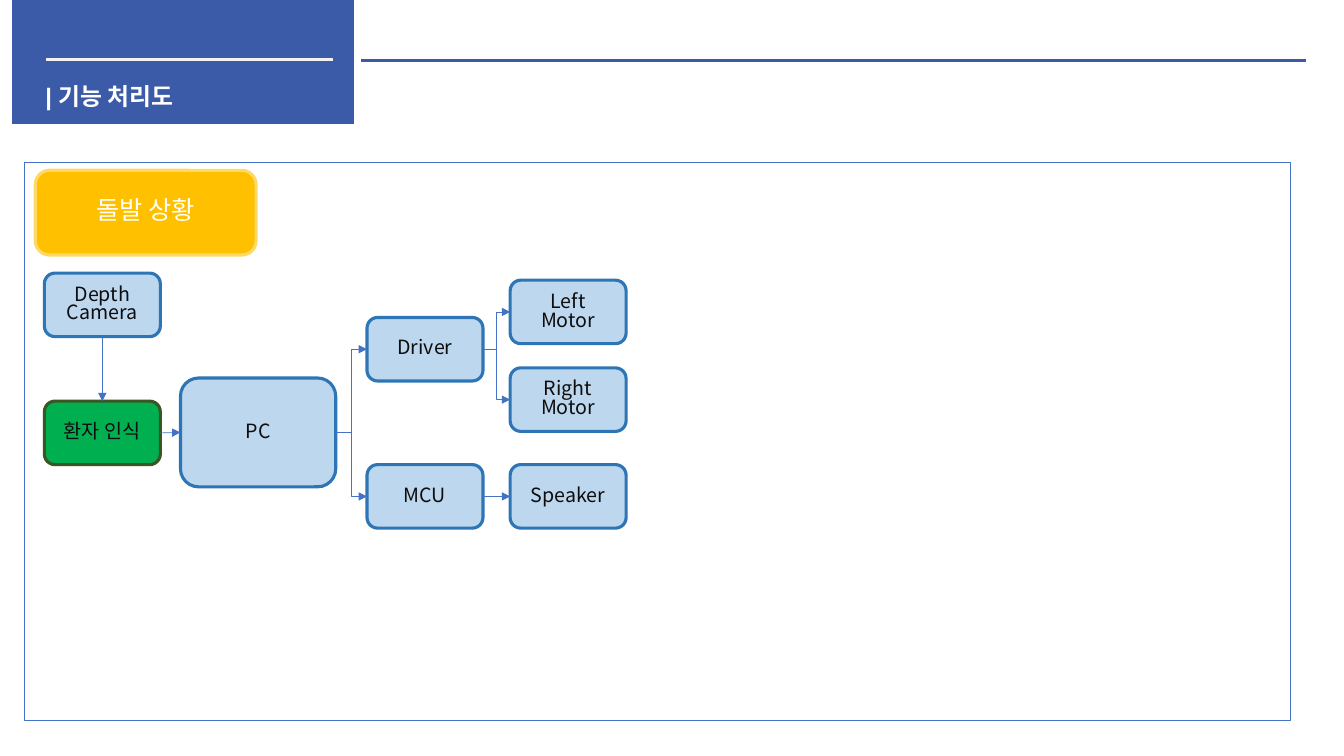
from dataclasses import dataclass

from lxml import etree
from pptx import Presentation
from pptx.dml.color import RGBColor
from pptx.enum.shapes import MSO_CONNECTOR, MSO_SHAPE
from pptx.enum.text import MSO_ANCHOR, MSO_AUTO_SIZE, PP_ALIGN
from pptx.oxml.ns import qn
from pptx.shapes.autoshape import Shape
from pptx.shapes.connector import Connector
from pptx.util import Inches, Pt

RECT, ROUND = MSO_SHAPE.RECTANGLE, MSO_SHAPE.ROUNDED_RECTANGLE
LINE, ELBOW = MSO_CONNECTOR.STRAIGHT, MSO_CONNECTOR.ELBOW
LEFT, MID = PP_ALIGN.LEFT, PP_ALIGN.CENTER
TOP, CENTER = MSO_ANCHOR.TOP, MSO_ANCHOR.MIDDLE
FIXED = MSO_AUTO_SIZE.NONE

NAVY = RGBColor(0x3B, 0x5A, 0xA8)
BLUE = RGBColor(0x44, 0x72, 0xC4)
STEEL = RGBColor(0x2E, 0x75, 0xB6)
SKY = RGBColor(0xBD, 0xD7, 0xEE)
GOLD = RGBColor(0xFF, 0xC0, 0x00)
SAND = RGBColor(0xFF, 0xD9, 0x66)
GREEN = RGBColor(0x00, 0xB0, 0x50)
MOSS = RGBColor(0x38, 0x57, 0x23)
PALE = RGBColor(0xF2, 0xF2, 0xF2)
WHITE = RGBColor(0xFF, 0xFF, 0xFF)
INK = RGBColor(0x0D, 0x0D, 0x0D)
SANS = "Noto Sans CJK KR"
COLS = (0.44, 3.64, 5.06)
TOP_SIDE, LEFT_SIDE, BASE_SIDE, RIGHT_SIDE = range(4)


@dataclass(frozen=True)
class Box:
    text: str
    left: float
    top: float
    width: float = 1.15
    height: float = 0.63
    fill: RGBColor | None = SKY
    edge: RGBColor | None = STEEL
    weight: float = 2.25
    kind: MSO_SHAPE = ROUND
    size: float = 14
    color: RGBColor = INK


@dataclass(frozen=True)
class Link:
    start: str
    end: str
    kind: MSO_CONNECTOR = LINE
    exit: int = RIGHT_SIDE
    entry: int = LEFT_SIDE


@dataclass(frozen=True)
class Rule:
    left: float
    right: float
    y: float
    color: RGBColor


HEAD = Box("", 0.12, 0, 3.39, 1.23, NAVY, None, kind=RECT)
RULES = (Rule(0.46, 3.3, 0.59, PALE), Rule(3.58, 12.95, 0.6, NAVY))
BOXES = {
    "frame": Box("", 0.24, 1.61, 12.56, 5.54, None, BLUE, 0.75, RECT),
    "case": Box("돌발 상황", 0.35, 1.69, 2.19, 0.84, GOLD, SAND, size=18, color=WHITE),
    "pc": Box("PC", 1.79, 3.75, 1.54, 1.08),
    "left": Box("Left\nMotor", COLS[2], 2.78),
    "drive": Box("Driver", COLS[1], 3.15),
    "right": Box("Right\nMotor", COLS[2], 3.65),
    "board": Box("MCU", COLS[1], 4.61),
    "sound": Box("Speaker", COLS[2], 4.61),
    "depth": Box("Depth\nCamera", COLS[0], 2.71),
    "sense": Box("환자 인식", COLS[0], 3.98, fill=GREEN, edge=MOSS),
}
LINKS = (
    Link("depth", "sense", exit=BASE_SIDE, entry=TOP_SIDE),
    Link("sense", "pc"),
    Link("pc", "drive", ELBOW),
    Link("pc", "board", ELBOW),
    Link("drive", "left", ELBOW),
    Link("drive", "right", ELBOW),
    Link("board", "sound"),
)


def apply(item: object, style: dict) -> None:
    for name, value in style.items():
        setattr(item, name, value)


def write(shape: Shape, text: str, align: PP_ALIGN, style: dict, pitch: float) -> None:
    shape.text_frame.text = text
    for para in shape.text_frame.paragraphs:
        apply(para, {"alignment": align, "line_spacing": pitch})
        for run in para.runs:
            apply(run.font, {k: v for k, v in style.items() if k != "color"})
            run.font.color.rgb = style["color"]
            face = etree.SubElement(run.font._element, qn("a:ea"))
            face.set("typeface", SANS)


def draw(slide, box: Box) -> Shape:
    area = map(Inches, (box.left, box.top, box.width, box.height))
    shape = slide.shapes.add_shape(box.kind, *area)
    shape.shadow.inherit = False
    if box.fill is None:
        shape.fill.background()
    else:
        shape.fill.solid()
        shape.fill.fore_color.rgb = box.fill
    if box.edge is None:
        shape.line.fill.background()
    else:
        shape.line.color.rgb = box.edge
        shape.line.width = Pt(box.weight)
    if box.text:
        apply(shape.text_frame, {"word_wrap": True, "vertical_anchor": CENTER})
        style = {"name": SANS, "size": Pt(box.size), "color": box.color}
        write(shape, box.text, MID, style, 0.8)
    return shape


def stroke(wire: Connector, color: RGBColor, weight: float) -> None:
    wire.line.color.rgb = color
    wire.line.width = Pt(weight)
    etree.SubElement(wire._element.spPr, qn("a:effectLst"))


def rule(slide, item: Rule) -> None:
    ends = map(Inches, (item.left, item.y, item.right, item.y))
    stroke(slide.shapes.add_connector(LINE, *ends), item.color, 2.25)


def join(slide, link: Link, nodes: dict[str, Shape]) -> None:
    wire = slide.shapes.add_connector(link.kind, 0, 0, 0, 0)
    wire.begin_connect(nodes[link.start], link.exit)
    wire.end_connect(nodes[link.end], link.entry)
    stroke(wire, BLUE, 0.5)
    tip = etree.SubElement(wire.line._get_or_add_ln(), qn("a:tailEnd"))
    tip.set("type", "triangle")


def head(slide) -> None:
    draw(slide, HEAD)
    for item in RULES:
        rule(slide, item)
    title = slide.shapes.title
    apply(title, {"left": Inches(0.35), "top": Inches(0.76),
                  "width": Inches(3.9), "height": Inches(0.31)})
    apply(title.text_frame, {"word_wrap": True, "vertical_anchor": TOP,
                             "auto_size": FIXED})
    style = {"name": "Arial", "size": Pt(17), "bold": True, "color": WHITE}
    write(title, "| 기능 처리도", LEFT, style, 1.0)
    slide.shapes._spTree.append(title._element)


def main() -> None:
    deck = Presentation()
    apply(deck, {"slide_width": Inches(13.33), "slide_height": Inches(7.5)})
    slide = deck.slides.add_slide(deck.slide_layouts[5])
    head(slide)
    nodes = {name: draw(slide, box) for name, box in BOXES.items()}
    for link in LINKS:
        join(slide, link, nodes)
    deck.save("out.pptx")


if __name__ == "__main__":
    main()
